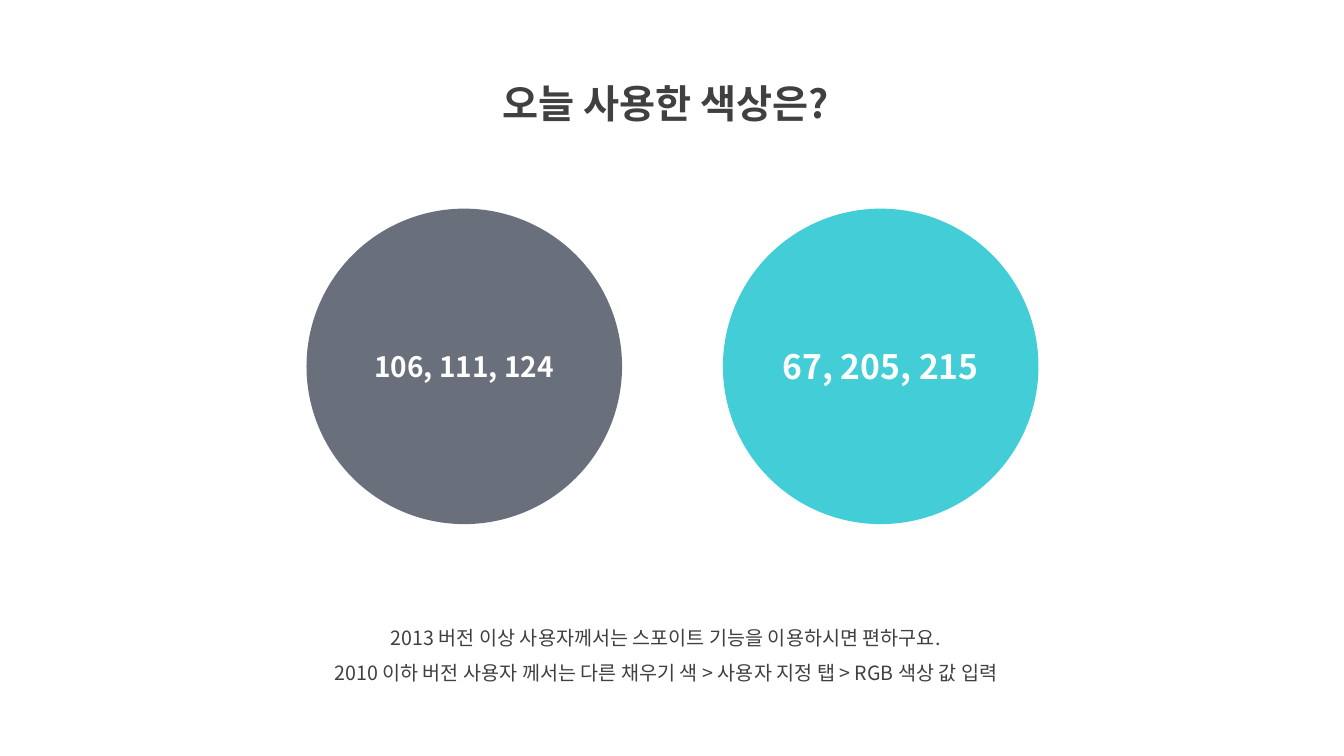
from dataclasses import dataclass

import lxml.etree
import pptx
import pptx.dml.color
import pptx.enum.shapes
import pptx.enum.text
import pptx.oxml.ns
import pptx.shapes.autoshape
import pptx.slide
import pptx.text.text
import pptx.util

RGBColor = pptx.dml.color.RGBColor
MSO_ANCHOR = pptx.enum.text.MSO_ANCHOR

EMU_PER_PX = 9144
FONT = "Noto Sans CJK KR"
DARK = RGBColor(0x40, 0x40, 0x40)
WHITE = RGBColor(0xFF, 0xFF, 0xFF)
SLATE = RGBColor(106, 111, 124)
TURQUOISE = RGBColor(67, 205, 215)

CIRCLE_TOP = 207
CIRCLE_SIZE = 313


@dataclass(frozen=True)
class Swatch:
    left: int
    color: RGBColor
    size: int


SWATCHES = [Swatch(717, TURQUOISE, 24), Swatch(304, SLATE, 20)]
TIPS = [
    "2013 버전 이상 사용자께서는 스포이트 기능을 이용하시면 편하구요.",
    "2010 이하 버전 사용자 께서는 다른 채우기 색 > 사용자 지정 탭 > RGB 색상 값 입력",
]


def px(value: int) -> pptx.util.Emu:
    return pptx.util.Emu(value * EMU_PER_PX)


def place(sp: pptx.shapes.autoshape.Shape, left: int, top: int, width: int, height: int) -> None:
    sp.left, sp.top, sp.width, sp.height = px(left), px(top), px(width), px(height)


def format_text(
    tf: pptx.text.text.TextFrame,
    size: int,
    color: RGBColor,
    bold: bool = False,
    anchor: MSO_ANCHOR = MSO_ANCHOR.TOP,
    spacing: float = 1.0,
) -> None:
    tf.word_wrap = True
    tf.vertical_anchor = anchor
    for p in tf.paragraphs:
        p.alignment = pptx.enum.text.PP_ALIGN.CENTER
        p.line_spacing = spacing
        for r in p.runs:
            r.font.size = pptx.util.Pt(size)
            r.font.bold = bold
            r.font.color.rgb = color
            r.font.name = FONT
            ea = lxml.etree.Element(pptx.oxml.ns.qn("a:ea"), typeface=FONT)
            r.font._element.find(pptx.oxml.ns.qn("a:latin")).addnext(ea)


def add_title(s: pptx.slide.Slide) -> None:
    sp = s.shapes.title
    place(sp, 429, 50, 463, 72)
    sp.text_frame.text = "오늘 사용한 색상은?"
    sp.text_frame.auto_size = pptx.enum.text.MSO_AUTO_SIZE.SHAPE_TO_FIT_TEXT
    format_text(sp.text_frame, 28, DARK, bold=True, spacing=1.5)


def add_swatch(s: pptx.slide.Slide, swatch: Swatch) -> None:
    sp = s.shapes.add_shape(
        pptx.enum.shapes.MSO_SHAPE.OVAL,
        px(swatch.left), px(CIRCLE_TOP), px(CIRCLE_SIZE), px(CIRCLE_SIZE),
    )
    sp.shadow.inherit = False
    sp.fill.solid()
    sp.fill.fore_color.rgb = swatch.color
    sp.line.fill.background()
    sp.text_frame.text = ", ".join(str(channel) for channel in swatch.color)
    format_text(sp.text_frame, swatch.size, WHITE, bold=True, anchor=MSO_ANCHOR.MIDDLE)


def add_tips(s: pptx.slide.Slide) -> None:
    sp = s.shapes.add_textbox(px(261), px(604), px(799), px(81))
    sp.text_frame.text = "\n".join(TIPS)
    sp.text_frame.auto_size = pptx.enum.text.MSO_AUTO_SIZE.SHAPE_TO_FIT_TEXT
    format_text(sp.text_frame, 14, DARK, spacing=1.5)


def main() -> None:
    prs = pptx.Presentation()
    prs.slide_width, prs.slide_height = px(1333), px(750)
    s = prs.slides.add_slide(prs.slide_layouts.get_by_name("Title Only"))
    add_title(s)
    for swatch in SWATCHES:
        add_swatch(s, swatch)
    add_tips(s)
    prs.save("out.pptx")


if __name__ == "__main__":
    main()
